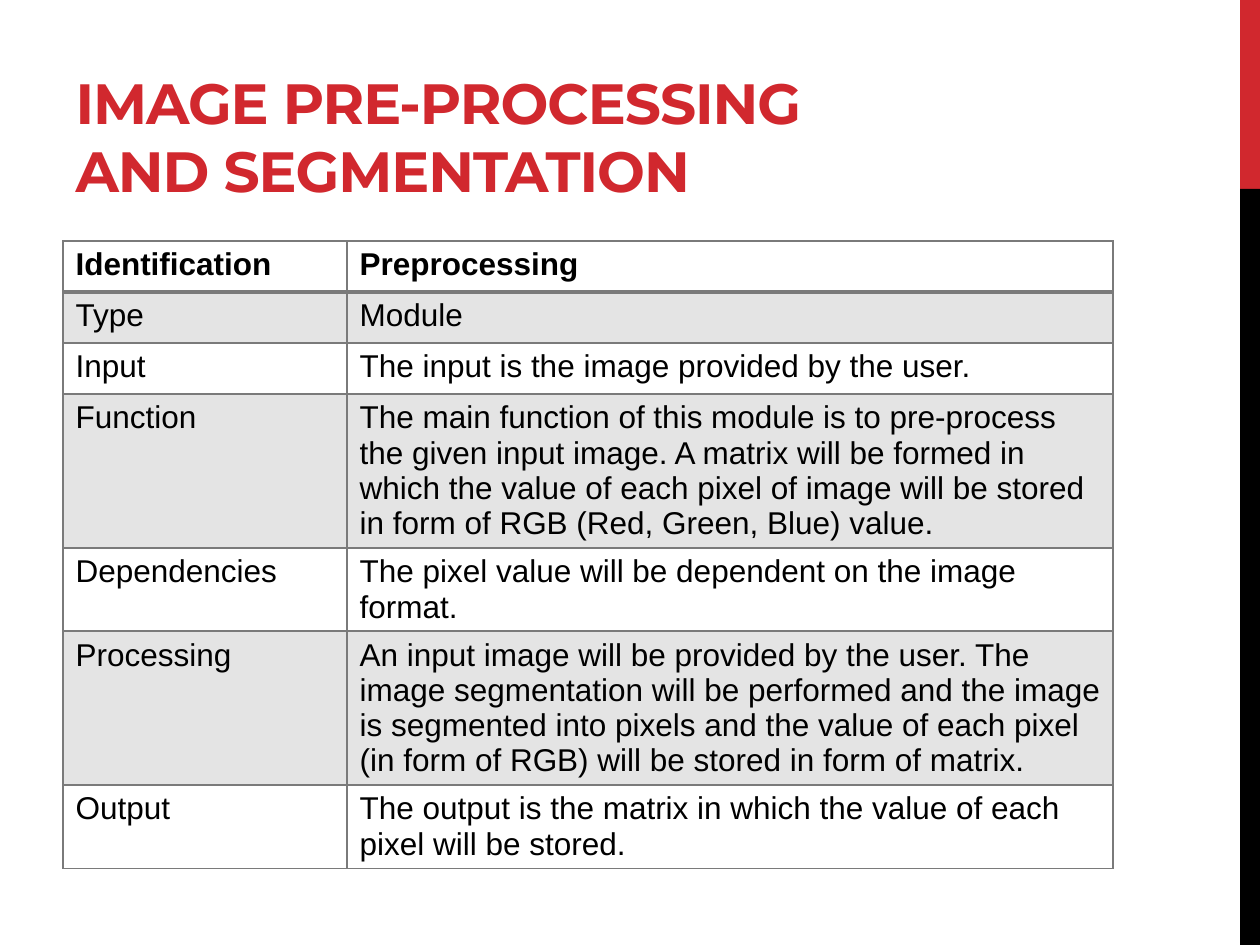
from lxml import etree
from pptx import Presentation
from pptx.dml.color import RGBColor
from pptx.enum.shapes import MSO_SHAPE
from pptx.enum.text import MSO_ANCHOR, MSO_AUTO_SIZE, PP_ALIGN
from pptx.oxml.ns import qn
from pptx.util import Pt

RECTANGLE = MSO_SHAPE.RECTANGLE
BOTTOM = MSO_ANCHOR.BOTTOM
NO_AUTOFIT = MSO_AUTO_SIZE.NONE
LEFT = PP_ALIGN.LEFT

RED = RGBColor(0xD1, 0x28, 0x2E)
BLACK = RGBColor(0, 0, 0)
GRAY = RGBColor(0x7A, 0x7A, 0x7A)

PX_PER_INCH = 126
PAGE_SIZE = (1260, 945)
COLUMN_WIDTHS = (284, 766)
LINE_HEIGHTS = {1: 51, 2: 83, 4: 154}

MODULE_ROWS = [
    ("Identification", "Preprocessing", 1),
    ("Type", "Module", 1),
    ("Input", "The input is the image provided by the user.", 1),
    ("Function", "The main function of this module is to pre-process the given "
     "input image. A matrix will be formed in which the value of each pixel of "
     "image will be stored in form of RGB (Red, Green, Blue) value.", 4),
    ("Dependencies", "The pixel value will be dependent on the image format.", 2),
    ("Processing", "An input image will be provided by the user. The image "
     "segmentation will be performed and the image is segmented into pixels and "
     "the value of each pixel (in form of RGB) will be stored in form of matrix.", 4),
    ("Output", "The output is the matrix in which the value of each pixel will "
     "be stored.", 2),
]


def px(length):
    return round(length * 914400 / PX_PER_INCH)


def style_span(span, font, size, color, bold):
    span.font.name = font
    span.font.size = Pt(size)
    span.font.color.rgb = color
    span.font.bold = bold


def add_side_bar(page, left, top, width, height):
    red_height = height // 5
    parts = ((top, red_height, RED), (top + red_height, height - red_height, BLACK))
    for part_top, part_height, color in parts:
        bar = page.shapes.add_shape(
            RECTANGLE, px(left), px(part_top), px(width), px(part_height))
        bar.shadow.inherit = False
        bar.fill.solid()
        bar.fill.fore_color.rgb = color
        bar.line.fill.background()


def place_title(page, left, top, width, height):
    title = page.shapes.title
    title.left, title.top = px(left), px(top)
    title.width, title.height = px(width), px(height)
    frame = title.text_frame
    frame.text = "IMAGE PRE-PROCESSING AND SEGMENTATION"
    frame.word_wrap = True
    frame.auto_size = NO_AUTOFIT
    frame.vertical_anchor = BOTTOM
    para = frame.paragraphs[0]
    para.alignment = LEFT
    span = para.runs[0]
    style_span(span, "Montserrat", 32.4, RED, True)
    span.font._element.set("spc", "-60")


def set_border(cell, side, points):
    properties = cell._tc.get_or_add_tcPr()
    line = etree.SubElement(properties, qn(f"a:ln{side}"), w=str(Pt(points)))
    fill = etree.SubElement(line, qn("a:solidFill"))
    etree.SubElement(fill, qn("a:srgbClr"), val=str(GRAY))


def shade_cell(cell):
    cell.fill.solid()
    cell.fill.fore_color.rgb = GRAY
    color = cell._tc.tcPr.find(qn("a:solidFill")).find(qn("a:srgbClr"))
    etree.SubElement(color, qn("a:alpha"), val="20000")


def format_cell(cell, text, row_index):
    cell.text_frame.text = text
    span = cell.text_frame.paragraphs[0].runs[0]
    style_span(span, "Arial", 18, BLACK, row_index == 0)
    heavy_side = {0: "B", 1: "T"}.get(row_index)
    for side in "LRTB":
        set_border(cell, side, 2 if side == heavy_side else 1)
    if row_index % 2:
        shade_cell(cell)
    else:
        cell.fill.background()


def add_module_table(page, left, top):
    heights = [LINE_HEIGHTS[lines] for _, _, lines in MODULE_ROWS]
    table = page.shapes.add_table(
        len(MODULE_ROWS), len(COLUMN_WIDTHS), px(left), px(top),
        px(sum(COLUMN_WIDTHS)), px(sum(heights))).table
    table.horz_banding = False
    for column, width in zip(table.columns, COLUMN_WIDTHS):
        column.width = px(width)
    for row_index, (label, detail, _) in enumerate(MODULE_ROWS):
        table.rows[row_index].height = px(heights[row_index])
        for column_index, text in enumerate((label, detail)):
            format_cell(table.cell(row_index, column_index), text, row_index)


def main():
    deck = Presentation()
    deck.slide_width, deck.slide_height = map(px, PAGE_SIZE)
    page = deck.slides.add_slide(deck.slide_layouts[5])
    add_side_bar(page, 1240, 0, 20, 945)
    place_title(page, 63, 21, 798, 189)
    add_module_table(page, 63, 241)
    deck.save("out.pptx")


if __name__ == "__main__":
    main()
